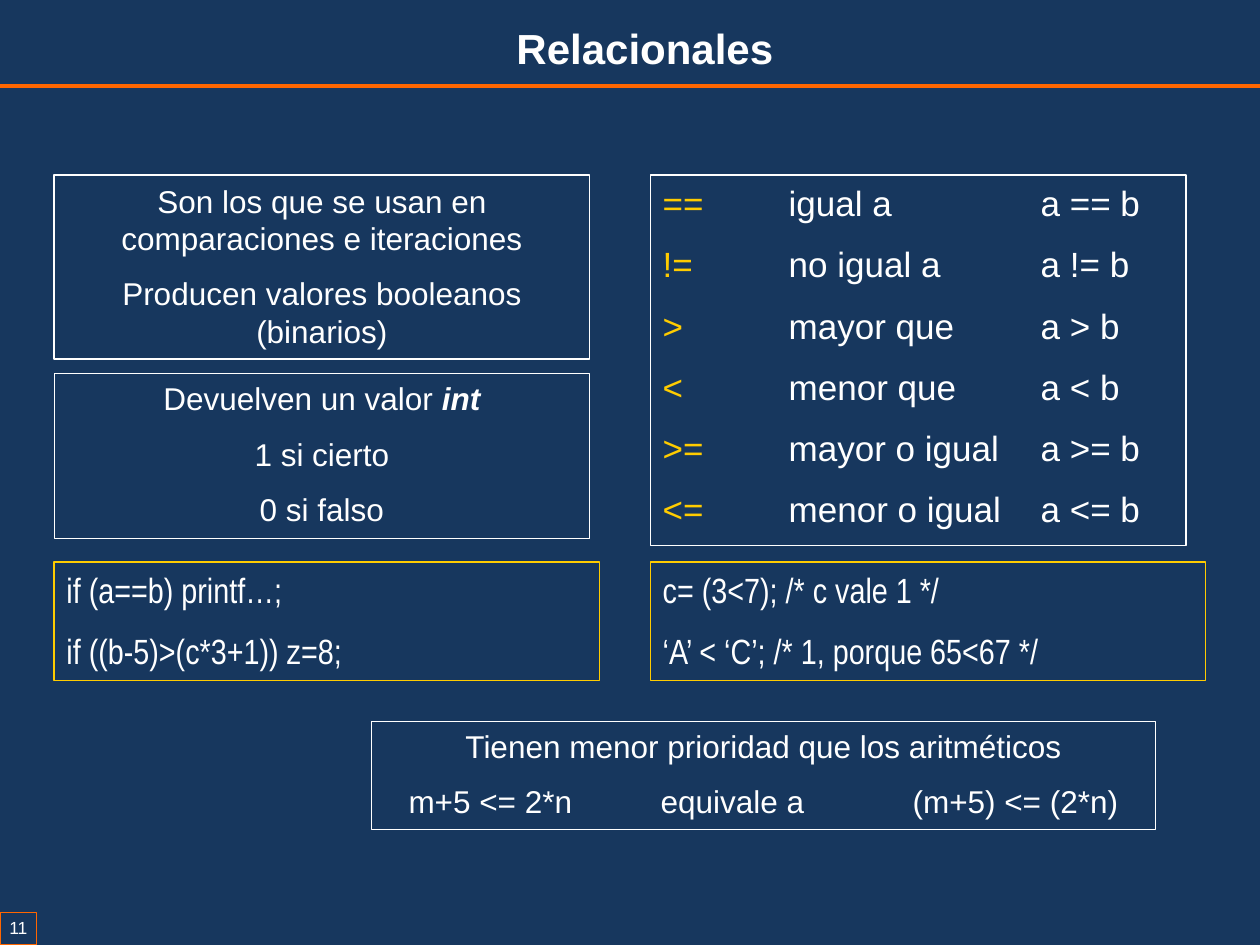
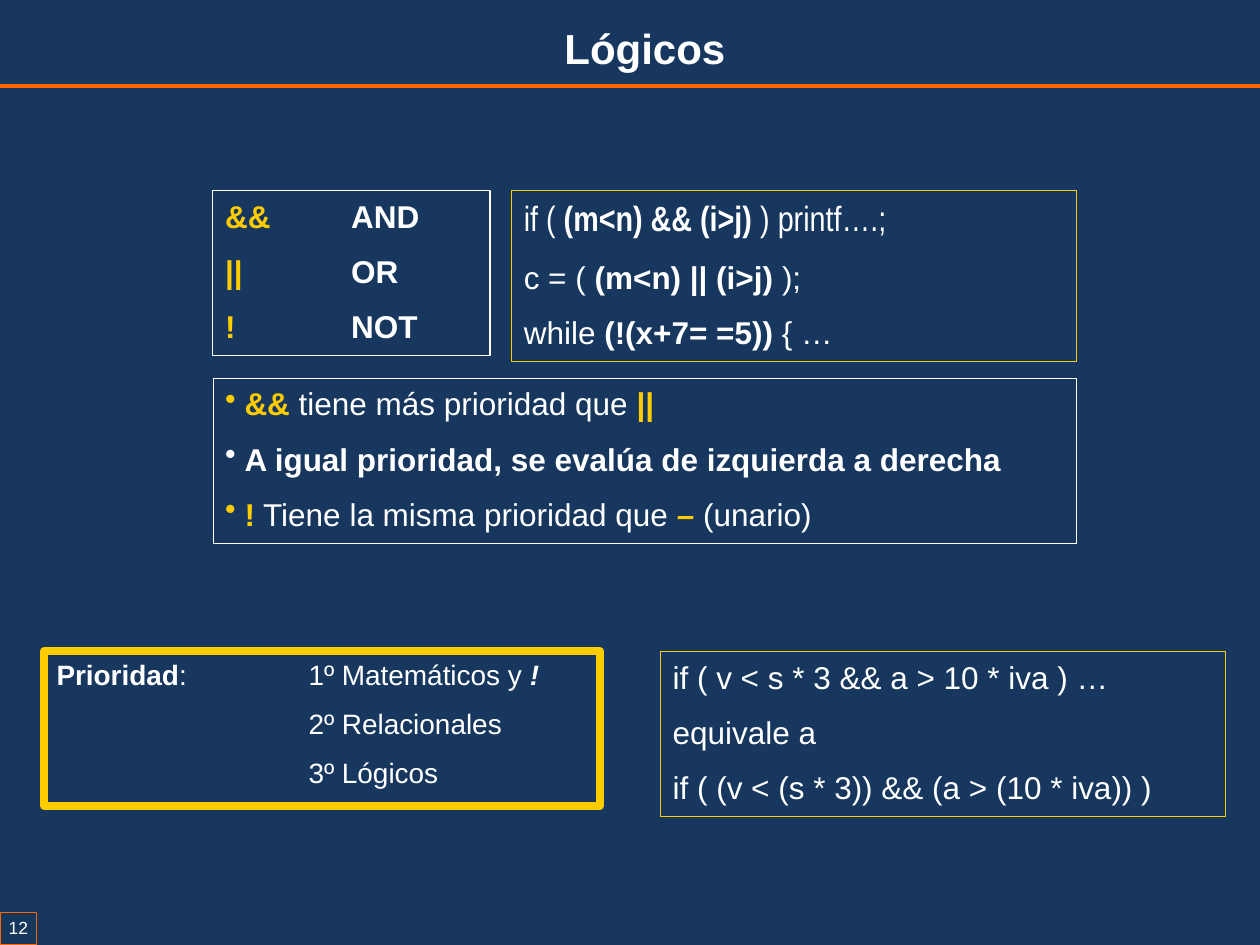
"""Build the two slides on relational and logical operators."""
from dataclasses import dataclass, field

from lxml import etree
from pptx import Presentation
from pptx import util as u
from pptx.dml.color import RGBColor
from pptx.enum import shapes, text
from pptx.oxml import ns

Cm, Pt = u.Cm, u.Pt
LEFT, CENTER = text.PP_ALIGN.LEFT, text.PP_ALIGN.CENTER


@dataclass(frozen=True)
class Theme:
    """Colours, type sizes and span formats of the deck."""

    navy: RGBColor = RGBColor(0x17, 0x37, 0x5E)
    orange: RGBColor = RGBColor(0xFF, 0x66, 0x00)
    yellow: RGBColor = RGBColor(0xFF, 0xCC, 0x00)
    white: RGBColor = RGBColor(0xFF, 0xFF, 0xFF)
    paragraph_gap: float = 0.55
    kinds: dict = field(default_factory=lambda: {
        "title": {"name": "Arial", "size": Pt(24), "bold": True},
        "large": {"name": "Arial", "size": Pt(20)},
        "body": {"name": "Arial", "size": Pt(18)},
        "small": {"name": "Arial", "size": Pt(16)},
        "number": {"name": "Arial", "size": Pt(10)},
        "code": {"name": "Arial Narrow", "size": Pt(20)},
    })
    accents: dict = field(default_factory=lambda: {
        "plain": {},
        "bold": {"bold": True},
        "bold italic": {"bold": True, "italic": True},
        "yellow": {"color": "yellow"},
        "key": {"color": "yellow", "bold": True},
        "key italic": {"color": "yellow", "bold": True, "italic": True},
    })


class SlideBuilder:
    """Hold the theme and current page, and draw each kind of element."""

    def __init__(self, deck, theme):
        """Set the shared background."""
        self.deck, self.theme, self.page = deck, theme, None
        background = deck.slide_master.background.fill
        background.solid()
        background.fore_color.rgb = theme.navy

    def start(self, title, number):
        """Add a page with its title, rule and number."""
        self.page = self.deck.slides.add_slide(self.deck.slide_layouts[5])
        heading = self.page.shapes.title
        place = {"left": Cm(3.5), "top": Cm(0.33), "width": Cm(19), "height": Cm(1.27)}
        for name, value in place.items():
            setattr(heading, name, value)
        self.fill_text(heading, [[title]], "title", CENTER)
        self.rule(Cm(1.73))
        self.box((0, 18.39, 0.74, 0.66), [[number]], "number", CENTER, "orange",
                 margins=(0.05, 0.1), wrap=False)

    def rule(self, top):
        """Draw the rule below the title."""
        line = self.page.shapes.add_connector(
            shapes.MSO_CONNECTOR.STRAIGHT, 0, top, self.deck.slide_width, top)
        line.line.color.rgb = self.theme.orange
        line.line.width = Pt(2)
        etree.SubElement(line._element.spPr, ns.qn("a:effectLst"))

    def box(self, place, paragraphs, kind="body", align=LEFT, border="white",
            weight=0.75, **layout):
        """Draw an outlined box with text."""
        box = self.page.shapes.add_shape(
            shapes.MSO_SHAPE.RECTANGLE, *(Cm(length) for length in place))
        box.shadow.inherit = False
        box.fill.background()
        box.line.color.rgb = getattr(self.theme, border)
        box.line.width = Pt(weight)
        self.fill_text(box, paragraphs, kind, align, **layout)

    def fill_text(self, box, paragraphs, kind, align, tabs=(), bullet=None,
                  margins=(0.25, 0.13), wrap=True):
        """Fill a shape with paragraphs of formatted spans."""
        frame = box.text_frame
        side, edge = (Cm(margin) for margin in margins)
        settings = {"margin_left": side, "margin_right": side, "margin_top": edge,
                    "margin_bottom": edge, "word_wrap": wrap,
                    "auto_size": text.MSO_AUTO_SIZE.NONE,
                    "vertical_anchor": text.MSO_ANCHOR.TOP}
        for name, value in settings.items():
            setattr(frame, name, value)
        for index, spans in enumerate(paragraphs):
            para = frame.add_paragraph() if index else frame.paragraphs[0]
            self.arrange(para, tabs, bullet)
            para.alignment = align
            sizes = [self.span(para, item, kind) for item in spans]
            if index < len(paragraphs) - 1:
                para.space_after = Pt(self.theme.paragraph_gap * max(sizes).pt)

    @staticmethod
    def arrange(para, tabs, bullet):
        """Add the bullet and tab stops of a paragraph."""
        properties = para._p.get_or_add_pPr()
        if bullet:
            properties.set("marL", str(Cm(0.39)))
            properties.set("indent", str(-Cm(0.39)))
            etree.SubElement(properties, ns.qn("a:buChar"), char=bullet)
        if tabs:
            stops = etree.SubElement(properties, ns.qn("a:tabLst"))
            for stop in tabs:
                etree.SubElement(stops, ns.qn("a:tab"), pos=str(Cm(stop)), algn="l")

    def span(self, para, item, kind):
        """Add one span and return its type size."""
        words, accent, *other = (item, "plain") if isinstance(item, str) else item
        base = self.theme.kinds[other[0] if other else kind]
        values = {"bold": False, "italic": False, **base, **self.theme.accents[accent]}
        color = values.pop("color", "white")
        span = para.add_run()
        span.text = words
        span.font.color.rgb = getattr(self.theme, color)
        for name, value in values.items():
            setattr(span.font, name, value)
        return base["size"]


def relational(builder):
    """Draw the slide on relational operators."""
    builder.start("Relacionales", "11")
    left, right, width, code_top = 1.09, 13.11, 10.8, 11.33
    builder.box((left, 3.53, width, 3.71), [
        ["Son los que se usan en comparaciones e iteraciones"],
        ["Producen valores booleanos (binarios)"]], align=CENTER)
    builder.box((left, 7.52, width, 3.33), [
        ["Devuelven un valor ", ("int", "bold italic")],
        ["1 si cierto"], ["0 si falso"]], align=CENTER, weight=0.25)
    builder.box((left, code_top, 11, 2.39), [
        ["if (a==b) printf…;"], ["if ((b-5)>(c*3+1)) z=8;"]], "code", border="yellow")
    operators = {"==": "igual a", "!=": "no igual a", ">": "mayor que",
                 "<": "menor que", ">=": "mayor o igual", "<=": "menor o igual"}
    builder.box((right, 3.53, width, 7.47), [
        [(sign, "yellow"), f"\t{meaning}\ta {sign} b"]
        for sign, meaning in operators.items()], "large", tabs=(2.54, 7.62))
    builder.box((right, code_top, 11.2, 2.39), [
        ["c= (3<7); /* c vale 1 */"],
        ["‘A’ < ‘C’; /* 1, porque 65<67 */"]], "code", border="yellow")
    builder.box((7.49, 14.53, 15.8, 2.18), [
        ["Tienen menor prioridad que los aritméticos"],
        ["m+5 <= 2*n\tequivale a\t(m+5) <= (2*n)"]],
        align=CENTER, weight=0.25, tabs=(5.08, 10.16))


def logical(builder):
    """Draw the slide on logical operators."""
    builder.start("Lógicos", "12")
    left, top, bottom_top = 4.29, 3.84, 13.13
    operators = {"&&": "AND", "||": "OR", "!": "NOT"}
    builder.box((left, top, 5.59, 3.33), [
        [(sign, "key"), (f"\t{name}", "bold")]
        for sign, name in operators.items()], tabs=(2.54,))
    builder.box((10.31, top, 11.4, 3.45), [
        [("if ( ", "plain", "code"), ("(m<n) && (i>j)", "bold", "code"),
         (" ) printf….;", "plain", "code")],
        ["c = ( ", ("(m<n) || (i>j)", "bold"), " );"],
        ["while ", ("(!(x+7= =5))", "bold"), " { …"]], border="yellow")
    builder.box((0.89, bottom_top, 11.2, 3.12), [
        [("Prioridad", "bold"), ":\t1º Matemáticos y ", ("!", "bold italic")],
        ["\t2º Relacionales"], ["\t3º Lógicos"]],
        "small", border="yellow", weight=4.5, tabs=(5.08,))
    builder.box((left, 7.62, 17.4, 3.33), [
        [("&&", "key"), " tiene más prioridad que ", ("||", "key")],
        [("A igual prioridad, se evalúa de izquierda a derecha", "bold")],
        [("!", "key"), " Tiene la misma prioridad que ", ("–", "key italic"),
         " (unario)"]], weight=0.25, bullet="•")
    builder.box((13.31, bottom_top, 11.4, 3.33), [
        ["if ( v < s * 3 && a > 10 * iva ) …"], ["equivale a"],
        ["if ( (v < (s * 3)) && (a > (10 * iva)) )"]], border="yellow")


def main():
    """Build and save the deck."""
    deck = Presentation()
    deck.slide_width, deck.slide_height = Cm(25.4), Cm(19.05)
    builder = SlideBuilder(deck, Theme())
    relational(builder)
    logical(builder)
    deck.save("out.pptx")


if __name__ == "__main__":
    main()
